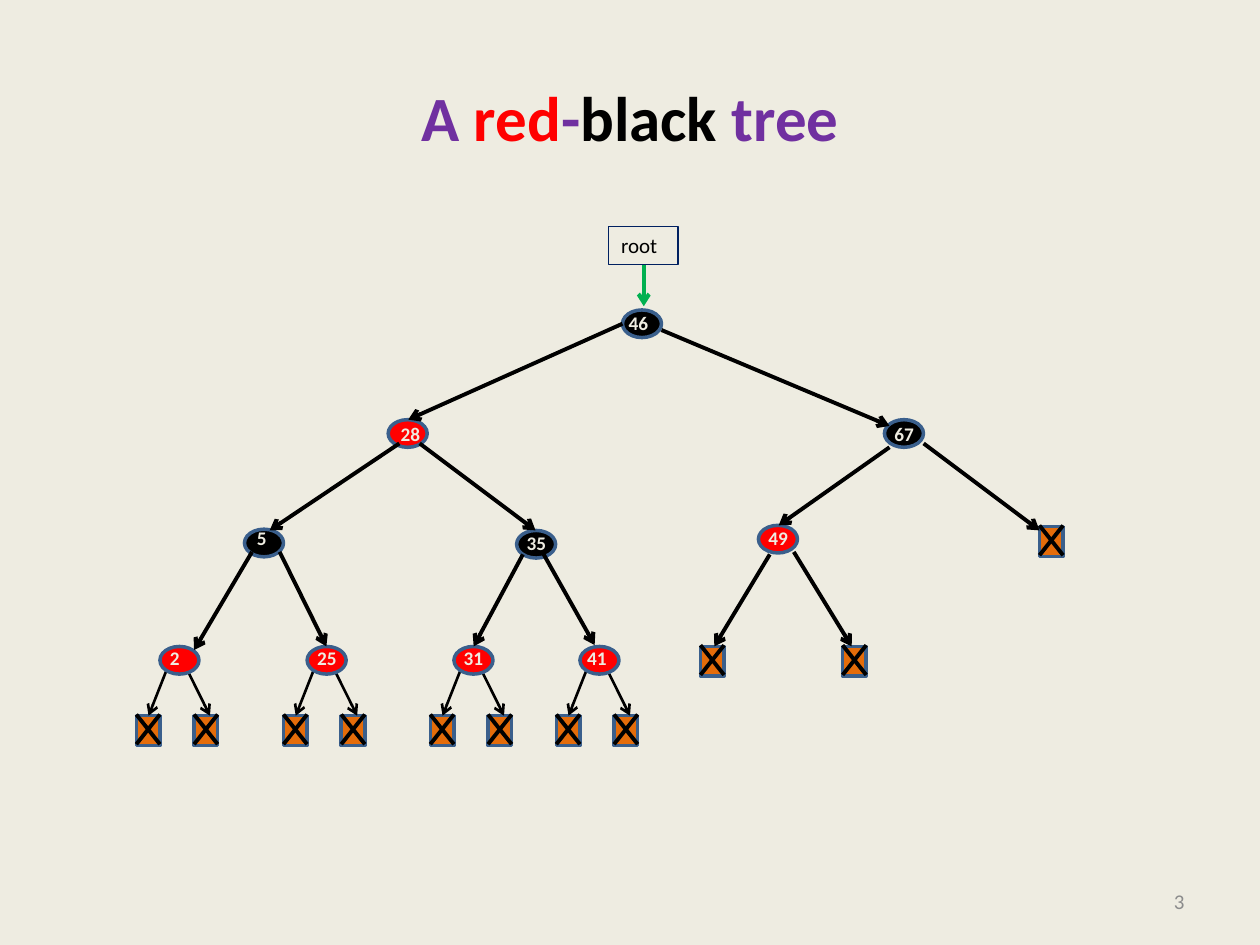
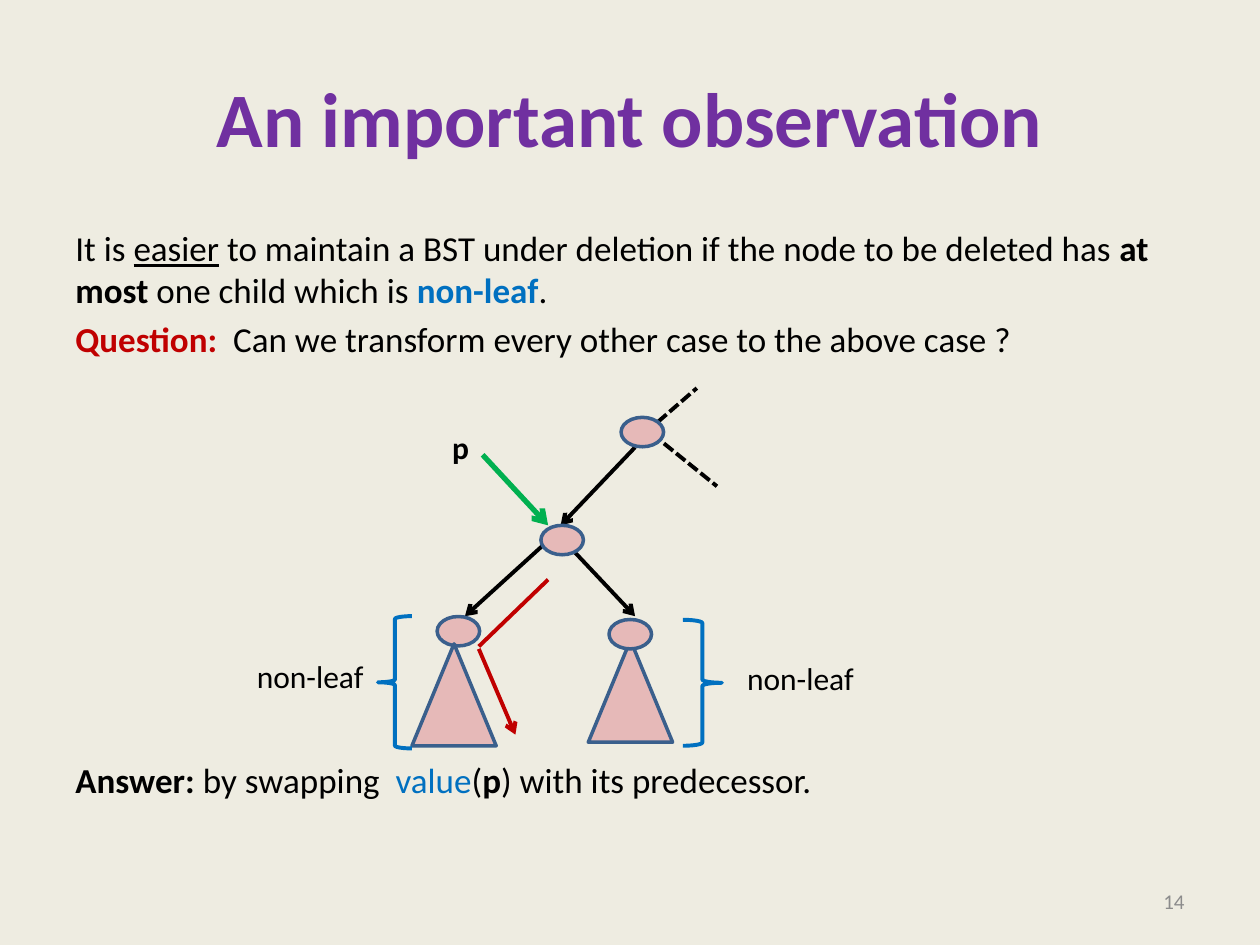
import dataclasses
import lxml.etree
import pptx
import pptx.dml.color
import pptx.enum.dml
import pptx.enum.shapes
import pptx.enum.text
import pptx.oxml.ns
import pptx.util


@dataclasses.dataclass(frozen=True)
class Theme:
    font: str = "Calibri"
    back: str = "EEECE1"
    purple: str = "7030A0"
    red: str = "FF0000"
    black: str = "000000"
    gray: str = "8C8C8C"
    edge: str = "3A5F8C"
    orange: str = "E46C0A"
    green: str = "00B050"
    navy: str = "002060"
    blue: str = "0070C0"
    brick: str = "C00000"
    pink: str = "E6B9B8"
    small: float = 11
    note: float = 12
    label: float = 18
    body: float = 20
    head: float = 36
    large: float = 44
    thin: float = 1.5
    rim: float = 2
    line: float = 2.25
    bold: float = 3


T = Theme()
Pt = pptx.util.Pt
KIND = pptx.enum.shapes.MSO_SHAPE
ALIGN = pptx.enum.text.PP_ALIGN
MID = pptx.enum.text.MSO_ANCHOR.MIDDLE

TITLE = (36, 21.6, 648, 90)
NUMBER = (516.25, 500.4, 167.75, 28.8)
BODY = (36, 126, 648, 356.4)
NODE = (22.3, 15.8)
LEAF = (13.5, 17)
KNOT = (24.3, 16.8)
CONE = (48.2, 58.3)

TREE_HEAD = [
    ("A ", T.purple), ("red", T.red), ("-", T.purple),
    ("black", T.black), (" tree", T.purple),
]
# key, fill, node corner, label shift
NODES = [
    ("46", T.black, (355.7, 177.1), (-3.6, -2.9)),
    ("67", T.black, (505.4, 239.8), (-1.4, -2.2)),
    ("5", T.black, (139.7, 302.4), (0, -5)),
    ("49", T.red, (433.4, 300.2), (-1.4, -2.9)),
    ("35", T.black, (295.2, 303.1), (-1.4, -2.9)),
    ("28", T.red, (221.8, 239.8), (0, -2.2)),
    ("2", T.red, (91.4, 369.4), (-1.4, -3.6)),
    ("25", T.red, (175.5, 369.4), (-1.4, -3.6)),
    ("31", T.red, (259.4, 369.4), (-1.6, -3.6)),
    ("41", T.red, (331.4, 369.4), (-3, -3.6)),
]
LOW = ("2", "25", "31", "41")
LEAVES = [(400.3, 369.4), (481.5, 369.4), (594, 301)]
TWIGS = [(-13.5, 4.3, -6.5), (19.5, 15, 28.6)]
TWIG_TOP, LEAF_TOP = 381.6, 409
EDGES = [
    (355.7, 185, 233.3, 239.8), (228.2, 253.4, 154.1, 303.1),
    (298.8, 316.8, 270.7, 369.4), (144, 315.4, 110.9, 371.5),
    (439.9, 316.8, 408.2, 369.4), (508.3, 255.6, 445, 300.2),
    (239.8, 253.4, 306, 303.1), (527.8, 253.4, 594, 303.1),
    (159.8, 315.4, 186.5, 369.4), (310.3, 316.1, 339.8, 368.6),
    (453.6, 315.4, 486.7, 369.4), (378, 188.6, 508.3, 243.4),
]
ROOT = ("root", (347.8, 129.6, 39.6, 21.6), (367.9, 151.2, 367.9, 175))

SWAP_HEAD = [("An important observation", T.purple)]
PROSE = [
    (0, [("It is ", T.black, ""), ("easier", T.black, "u"),
         (" to maintain a BST under deletion if the node to be deleted has ", T.black, ""),
         ("at most ", T.black, "b"), ("one child which is ", T.black, ""),
         ("non-leaf", T.blue, "b"), (".", T.black, "")]),
    (4, [("Question:  ", T.brick, "b"),
         ("Can we transform every other case to the above case ?", T.black, "")]),
    (227.6, [("Answer: ", T.black, "b"), ("by swapping  ", T.black, ""),
             ("value", T.blue, ""), ("(", T.black, ""), ("p", T.black, "b"),
             (") with its predecessor.", T.black, "")]),
]
KNOTS = [(354.9, 238.5), (309.1, 300.2), (249.8, 352.3), (348, 354)]
CONES = [(336.2, 365.8), (235.4, 367.9)]
LINKS = [
    (312.5, 309.6, 265.7, 352.1), (328.3, 315.4, 362.9, 352.1),
    (362.9, 255.6, 320.4, 300.2),
]
DASHES = [(379.4, 253.4, 409.7, 277.9), (375.8, 241.2, 398.2, 221.8)]
POINTER = (275.8, 259.9, 313.2, 300.2)
WALK = [(313.2, 331.2, 273.6, 369.4), (273.6, 370.8, 294.5, 419.8)]
MARKS = [
    ("p", (251.3, 241.2, 24.5, 28.8), True),
    ("non-leaf", (419.8, 373, 76.3, 28.8), False),
    ("non-leaf", (139.7, 372.2, 76.3, 28.8), False),
]
BRACES = [
    (KIND.RIGHT_BRACE, (390.2, 354.2, 22.3, 72)),
    (KIND.LEFT_BRACE, (216, 352.1, 19.4, 75.6)),
]


def tint(hue):
    return pptx.dml.color.RGBColor.from_string(hue)


def style(font, size, hue, bold=None):
    font.name, font.size, font.bold = T.font, Pt(size), bold
    font.color.rgb = tint(hue)


def shape(page, kind, box, fill, rim=T.edge, width=T.rim):
    item = page.shapes.add_shape(kind, *map(Pt, box))
    item.shadow.inherit = False
    if fill:
        item.fill.solid()
        item.fill.fore_color.rgb = tint(fill)
    else:
        item.fill.background()
    item.line.color.rgb = tint(rim)
    item.line.width = Pt(width)
    return item


def stroke(page, ends, hue=T.black, width=T.line, arrow=True, dash=False):
    item = page.shapes.add_connector(
        pptx.enum.shapes.MSO_CONNECTOR.STRAIGHT, *map(Pt, ends))
    item.line.color.rgb = tint(hue)
    item.line.width = Pt(width)
    if dash:
        item.line.dash_style = pptx.enum.dml.MSO_LINE.SQUARE_DOT
    name = pptx.oxml.ns.qn
    props = item.element.spPr
    if arrow:
        lxml.etree.SubElement(props.find(name("a:ln")), name("a:tailEnd"), type="arrow")
    lxml.etree.SubElement(props, name("a:effectLst"))


def frame(page, box, wrap=True):
    text = page.shapes.add_textbox(*map(Pt, box)).text_frame
    text.word_wrap = wrap
    return text


def label(text, words, size, hue, bold=None, align=ALIGN.LEFT):
    line = text.paragraphs[0]
    line.text = words
    line.alignment = align
    style(line.font, size, hue, bold)


def start(deck, head, size, number):
    page = deck.slides.add_slide(deck.slide_layouts[6])
    page.background.fill.solid()
    page.background.fill.fore_color.rgb = tint(T.back)
    text = frame(page, TITLE)
    text.vertical_anchor = MID
    line = text.paragraphs[0]
    line.alignment = ALIGN.CENTER
    for words, hue in head:
        run = line.add_run()
        run.text = words
        style(run.font, size, hue, True)
    text = frame(page, NUMBER)
    text.vertical_anchor = MID
    label(text, number, T.note, T.gray, align=ALIGN.RIGHT)
    return page


def leaf(page, left, top):
    wide, high = LEAF
    shape(page, KIND.RECTANGLE, (left, top, wide, high), T.orange)
    for near, far in ((left + wide, left), (left, left + wide)):
        stroke(page, (near, top - 0.7, far, top + high - 0.7), arrow=False)


def tree(deck):
    page = start(deck, TREE_HEAD, T.head, "3")
    for key, _, (left, _), _ in NODES:
        if key in LOW:
            for side, near, far in TWIGS:
                leaf(page, left + side, LEAF_TOP)
                stroke(page, (left + near, TWIG_TOP, left + far, LEAF_TOP), width=T.thin)
    for spot in LEAVES:
        leaf(page, *spot)
    for _, fill, spot, _ in NODES:
        shape(page, KIND.OVAL, spot + NODE, fill)
    for ends in EDGES:
        stroke(page, ends)
    words, box, ends = ROOT
    stroke(page, ends, T.green)
    text = shape(page, KIND.RECTANGLE, box, None, T.navy, 0.75).text_frame
    text.word_wrap = True
    text.vertical_anchor = pptx.enum.text.MSO_ANCHOR.TOP
    label(text, words, T.note, T.black)
    for key, _, (left, top), (right, down) in NODES:
        wide = 14.4 + 5.7 * len(key)
        text = frame(page, (left + right, top + down, wide, 20.6), False)
        label(text, key, T.small, T.back, True)


def swap(deck):
    page = start(deck, SWAP_HEAD, T.large, "14")
    text = frame(page, BODY)
    for rank, (gap, runs) in enumerate(PROSE):
        line = text.add_paragraph() if rank else text.paragraphs[0]
        line.space_before = Pt(gap)
        for words, hue, marks in runs:
            run = line.add_run()
            run.text = words
            style(run.font, T.body, hue, "b" in marks)
            run.font.underline = "u" in marks
    right, left = CONES
    shape(page, KIND.ISOSCELES_TRIANGLE, right + CONE, T.pink)
    for ends in LINKS:
        stroke(page, ends)
    for ends in DASHES:
        stroke(page, ends, arrow=False, dash=True)
    for spot in KNOTS:
        shape(page, KIND.OVAL, spot + KNOT, T.pink)
    shape(page, KIND.ISOSCELES_TRIANGLE, left + CONE, T.pink)
    stroke(page, POINTER, T.green, T.bold)
    for kind, box in BRACES:
        shape(page, kind, box, None, T.blue, T.line)
    for words, box, bold in MARKS:
        label(frame(page, box, False), words, T.label, T.black, bold)
    for step, ends in enumerate(WALK):
        stroke(page, ends, T.brick, arrow=step == 1)


def main():
    deck = pptx.Presentation()
    deck.slide_width, deck.slide_height = Pt(720), Pt(540)
    tree(deck)
    swap(deck)
    deck.save("out.pptx")


if __name__ == "__main__":
    main()
